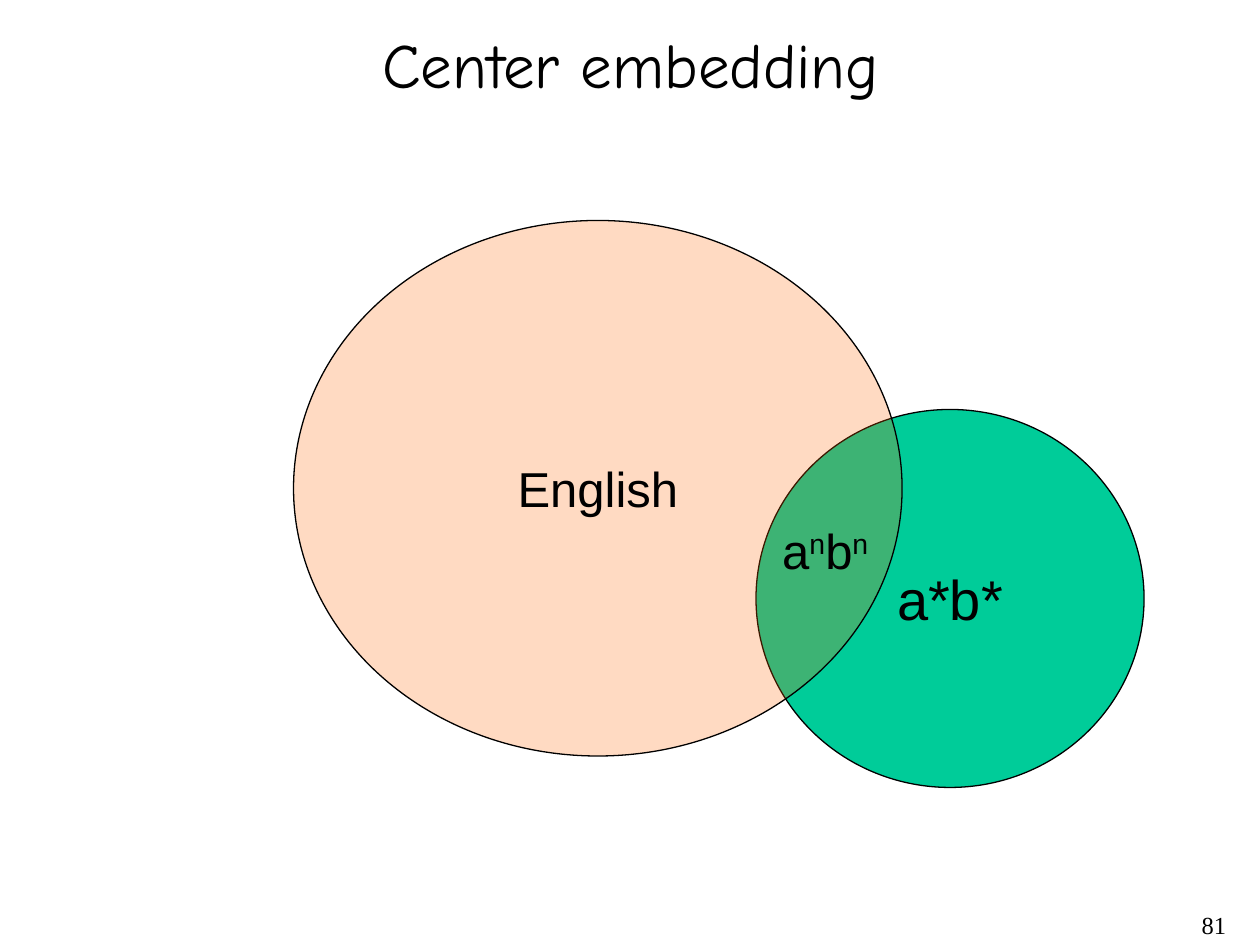
from lxml import etree
from pptx import Presentation
from pptx.dml.color import RGBColor
from pptx.enum.shapes import MSO_SHAPE
from pptx.enum.text import MSO_ANCHOR, PP_ALIGN
from pptx.oxml.ns import qn
from pptx.util import Inches, Pt

OVAL = MSO_SHAPE.OVAL
TOP, MIDDLE = MSO_ANCHOR.TOP, MSO_ANCHOR.MIDDLE
LEFT, CENTER, RIGHT = PP_ALIGN.LEFT, PP_ALIGN.CENTER, PP_ALIGN.RIGHT
BLACK = "000000"


def color(code):
    """Return the colour for a hex string."""
    return RGBColor.from_string(code)


def write(shape, text, size, font="Arial", align=CENTER, anchor=MIDDLE, wrap=False, raised=""):
    """Write text into a shape, with the letters in raised as superscripts."""
    frame = shape.text_frame
    frame.word_wrap = wrap
    frame.vertical_anchor = anchor
    line = frame.paragraphs[0]
    line.alignment = align
    for part in text if raised else [text]:
        run = line.add_run()
        run.text = part
        run.font.size = Pt(size)
        run.font.name = font
        run.font.color.rgb = color(BLACK)
        if raised and part in raised:
            run.font._element.set("baseline", "30000")


def label(slide, box, text, size, **style):
    """Place a text box with the given text."""
    shape = slide.shapes.add_textbox(*map(Inches, box))
    write(shape, text, size, **style)


def oval(slide, box, text, size, fill, alpha=100):
    """Place a labelled oval, its fill as opaque as alpha percent."""
    shape = slide.shapes.add_shape(OVAL, *map(Inches, box))
    shape.shadow.inherit = False
    shape.fill.solid()
    shape.fill.fore_color.rgb = color(fill)
    if alpha < 100:
        tint = shape._element.spPr.find(qn("a:solidFill"))[0]
        etree.SubElement(tint, qn("a:alpha")).set("val", str(alpha * 1000))
    shape.line.color.rgb = color(BLACK)
    shape.line.width = Pt(0.75)
    write(shape, text, size)


def venn(slide, left, top):
    """Draw the two overlapping languages from a top left corner."""
    oval(slide, (left + 3.67, top + 1.5, 3.08, 3), "a*b*", 32, "00CC99")
    oval(slide, (left, top, 4.83, 4.25), "English", 28, "FF6600", alpha=24)
    label(slide, (left + 3.78, top + 2.33, 0.88, 0.57), "anbn", 28,
          align=LEFT, anchor=TOP, raised="n")


def main():
    """Build the slide and save it."""
    deck = Presentation()
    deck.slide_width, deck.slide_height = Inches(10), Inches(7.5)
    slide = deck.slides.add_slide(deck.slide_layouts[6])
    label(slide, (0.17, 0.17, 9.67, 0.67), "Center embedding", 36,
          font="Comic Neue", wrap=True)
    venn(slide, 2.33, 1.75)
    label(slide, (7.75, 7.17, 2.08, 0.33), "81", 14,
          font="Times New Roman", align=RIGHT, anchor=TOP, wrap=True)
    deck.save("out.pptx")


if __name__ == "__main__":
    main()
